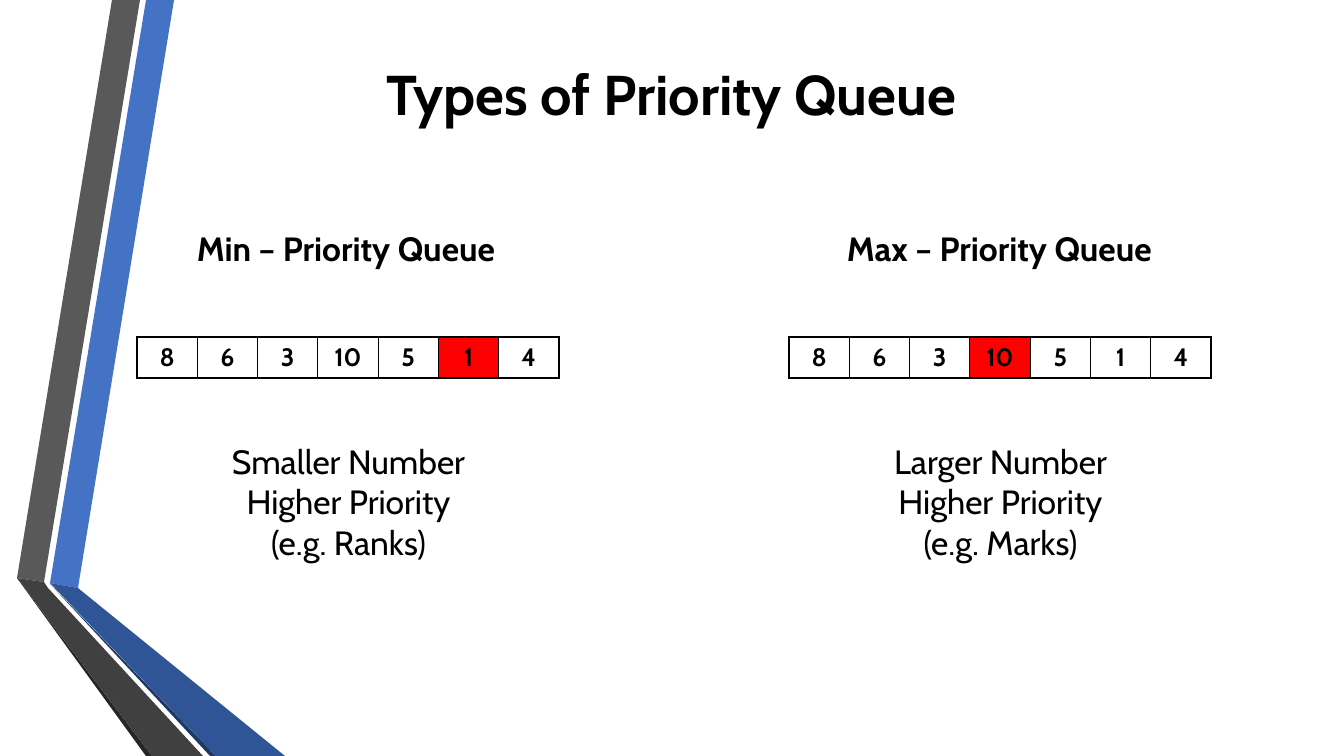
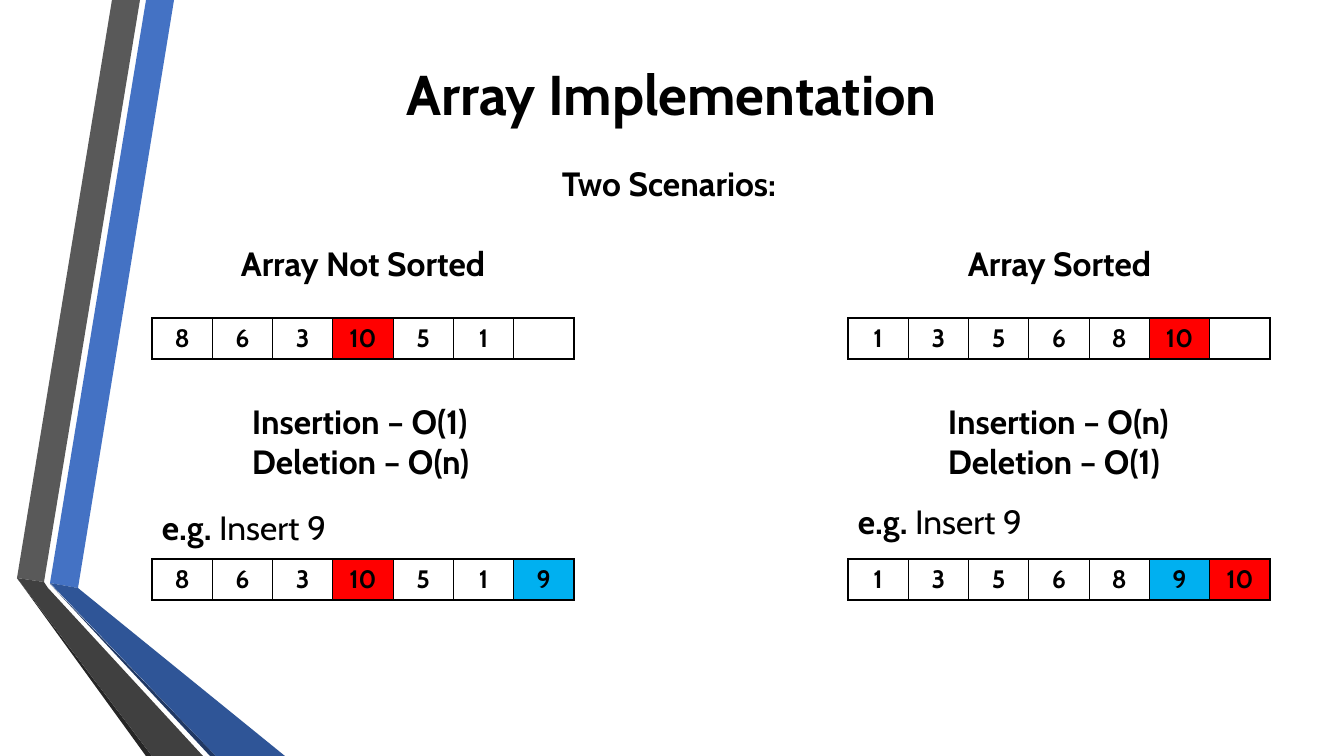
"""Build two slides on priority queues and their array implementation."""
from dataclasses import dataclass
from typing import Optional

from lxml import etree
from pptx import Presentation
from pptx import util as u
from pptx.dml.color import RGBColor
from pptx.enum import text as t
from pptx.oxml.ns import qn
from pptx.slide import Slide

EMU_PER_PIXEL = 914400 / 100.8
SLIDE_WIDTH, SLIDE_HEIGHT = 1344, 756
ROW_WIDTH, ROW_HEIGHT = 422, 41
LINE_HEIGHT, TEXT_PADDING = 41, 10

BLACK = RGBColor(0x00, 0x00, 0x00)
RED = RGBColor(0xFF, 0x00, 0x00)
SKY = RGBColor(0x00, 0xB0, 0xF0)
BLUE = RGBColor(0x44, 0x72, 0xC4)
DEEP_BLUE = RGBColor(0x2F, 0x55, 0x97)
NAVY = RGBColor(0x20, 0x38, 0x64)
GREY = RGBColor(0x59, 0x59, 0x59)
DARK_GREY = RGBColor(0x40, 0x40, 0x40)
CHARCOAL = RGBColor(0x26, 0x26, 0x26)

TITLE_FORMAT = {"name": "Cabin", "size": u.Pt(40), "bold": True}
HEADING_FORMAT = {"name": "Cabin", "size": u.Pt(24), "bold": True}
BODY_FORMAT = {"name": "Cabin", "size": u.Pt(24), "bold": False}
NUMBER_FORMAT = {"name": "Cabin", "size": u.Pt(18), "bold": True}


@dataclass(frozen=True)
class Band:
    color: RGBColor
    outline: tuple[tuple[int, int], ...]


@dataclass(frozen=True)
class Words:
    lines: tuple[str, ...]
    left: int
    top: int
    width: int
    style: dict
    centred: bool = False
    wrapped: bool = False
    tail: str = ""


@dataclass(frozen=True)
class Queue:
    numbers: str
    left: int
    top: int
    highest: str
    inserted: Optional[str] = None


@dataclass(frozen=True)
class Page:
    title: str
    words: tuple[Words, ...]
    queues: tuple[Queue, ...]


BANDS = (
    Band(BLUE, ((50, 583), (78, 588), (174, 0), (146, 0))),
    Band(GREY, ((140, 0), (112, 0), (17, 578), (44, 582))),
    Band(CHARCOAL, ((17, 578), (146, 756), (152, 756))),
    Band(NAVY, ((50, 584), (210, 756), (216, 756))),
    Band(DEEP_BLUE, ((50, 583), (216, 756), (285, 756), (78, 588))),
    Band(DARK_GREY, ((203, 756), (48, 588), (44, 582), (17, 578), (152, 756))),
)

PAGES = (
    Page(
        "Types of Priority Queue",
        (
            Words(("Min – Priority Queue",), 187, 223, 320, HEADING_FORMAT),
            Words(("Max – Priority Queue",), 837, 223, 328, HEADING_FORMAT),
            Words(("Smaller Number", "Higher Priority", "(e.g. Ranks)"),
                  211, 436, 275, BODY_FORMAT, centred=True, wrapped=True),
            Words(("Larger Number", "Higher Priority", "(e.g. Marks)"),
                  863, 436, 275, BODY_FORMAT, centred=True, wrapped=True),
        ),
        (
            Queue("8 6 3 10 5 1 4", 137, 337, "1"),
            Queue("8 6 3 10 5 1 4", 789, 337, "10"),
        ),
    ),
    Page(
        "Array Implementation",
        (
            Words(("Two Scenarios:",), 552, 158, 240, HEADING_FORMAT),
            Words(("Array Not Sorted",), 228, 238, 270, HEADING_FORMAT, centred=True),
            Words(("Array Sorted",), 956, 238, 207, HEADING_FORMAT, centred=True),
            Words(("Insertion – O(1)", "Deletion – O(n)"), 242, 396, 243, HEADING_FORMAT),
            Words(("Insertion – O(n)", "Deletion – O(1)"), 938, 396, 243, HEADING_FORMAT),
            Words(("e.g. ",), 152, 502, 194, HEADING_FORMAT, tail="Insert 9"),
            Words(("e.g. ",), 848, 496, 194, HEADING_FORMAT, tail="Insert 9"),
        ),
        (
            Queue("8 6 3 10 5 1 ", 152, 318, "10"),
            Queue("1 3 5 6 8 10 ", 848, 318, "10"),
            Queue("8 6 3 10 5 1 9", 152, 559, "10", "9"),
            Queue("1 3 5 6 8 9 10", 848, 559, "10", "9"),
        ),
    ),
)


def px(pixels: float) -> u.Emu:
    """Turn pixels into EMU."""
    return u.Emu(round(pixels * EMU_PER_PIXEL))


def add_run(paragraph, wording: str, style: dict) -> None:
    """Append a formatted run to a paragraph."""
    run = paragraph.add_run()
    run.text = wording
    for attribute, value in style.items():
        setattr(run.font, attribute, value)
    run.font.color.rgb = BLACK


def draw_band(slide: Slide, band: Band) -> None:
    """Draw one piece of the folded ribbon at the left edge."""
    start, *corners = band.outline
    builder = slide.shapes.build_freeform(*start, scale=EMU_PER_PIXEL)
    builder.add_line_segments(corners, close=True)
    ribbon = builder.convert_to_shape()
    ribbon.shadow.inherit = False
    ribbon.fill.solid()
    ribbon.fill.fore_color.rgb = band.color
    ribbon.line.fill.background()


def draw_title(slide: Slide, title: str) -> None:
    """Write the centred slide title."""
    frame = slide.shapes.add_textbox(px(163), px(51), px(1017), px(85)).text_frame
    frame.word_wrap = True
    frame.vertical_anchor = t.MSO_ANCHOR.MIDDLE
    frame.paragraphs[0].alignment = t.PP_ALIGN.CENTER
    add_run(frame.paragraphs[0], title, TITLE_FORMAT)


def draw_words(slide: Slide, words: Words) -> None:
    """Write a heading or a block of lines."""
    height = LINE_HEIGHT * len(words.lines) + TEXT_PADDING
    frame = slide.shapes.add_textbox(
        px(words.left), px(words.top), px(words.width), px(height)).text_frame
    frame.word_wrap = words.wrapped
    frame.auto_size = t.MSO_AUTO_SIZE.SHAPE_TO_FIT_TEXT
    for index, line in enumerate(words.lines):
        paragraph = frame.add_paragraph() if index else frame.paragraphs[0]
        paragraph.alignment = t.PP_ALIGN.CENTER if words.centred else t.PP_ALIGN.LEFT
        add_run(paragraph, line, words.style)
    if words.tail:
        add_run(paragraph, words.tail, BODY_FORMAT)


def add_borders(cell) -> None:
    """Give a cell thin black borders on all sides."""
    properties = cell._tc.get_or_add_tcPr()
    for side in ("lnL", "lnR", "lnT", "lnB"):
        border = etree.SubElement(properties, qn(f"a:{side}"), w=str(u.Pt(1)))
        fill = etree.SubElement(border, qn("a:solidFill"))
        etree.SubElement(fill, qn("a:srgbClr"), val=str(BLACK))


def draw_queue(slide: Slide, queue: Queue) -> None:
    """Draw a one-row table with its marked numbers."""
    numbers = queue.numbers.split(" ")
    table = slide.shapes.add_table(
        1, len(numbers), px(queue.left), px(queue.top),
        px(ROW_WIDTH), px(ROW_HEIGHT)).table
    table.first_row = table.horz_banding = False
    marks = {queue.highest: RED, queue.inserted: SKY}
    for column, number in enumerate(numbers):
        table.columns[column].width = px(ROW_WIDTH / len(numbers))
        cell = table.cell(0, column)
        add_borders(cell)
        if number in marks:
            cell.fill.solid()
            cell.fill.fore_color.rgb = marks[number]
        else:
            cell.fill.background()
        if number:
            paragraph = cell.text_frame.paragraphs[0]
            paragraph.alignment = t.PP_ALIGN.CENTER
            add_run(paragraph, number, NUMBER_FORMAT)


def build() -> None:
    """Build and save the presentation."""
    deck = Presentation()
    deck.slide_width, deck.slide_height = px(SLIDE_WIDTH), px(SLIDE_HEIGHT)
    for page in PAGES:
        slide = deck.slides.add_slide(deck.slide_layouts[6])
        for band in BANDS:
            draw_band(slide, band)
        draw_title(slide, page.title)
        for words in page.words:
            draw_words(slide, words)
        for queue in page.queues:
            draw_queue(slide, queue)
    deck.save("out.pptx")


build()
